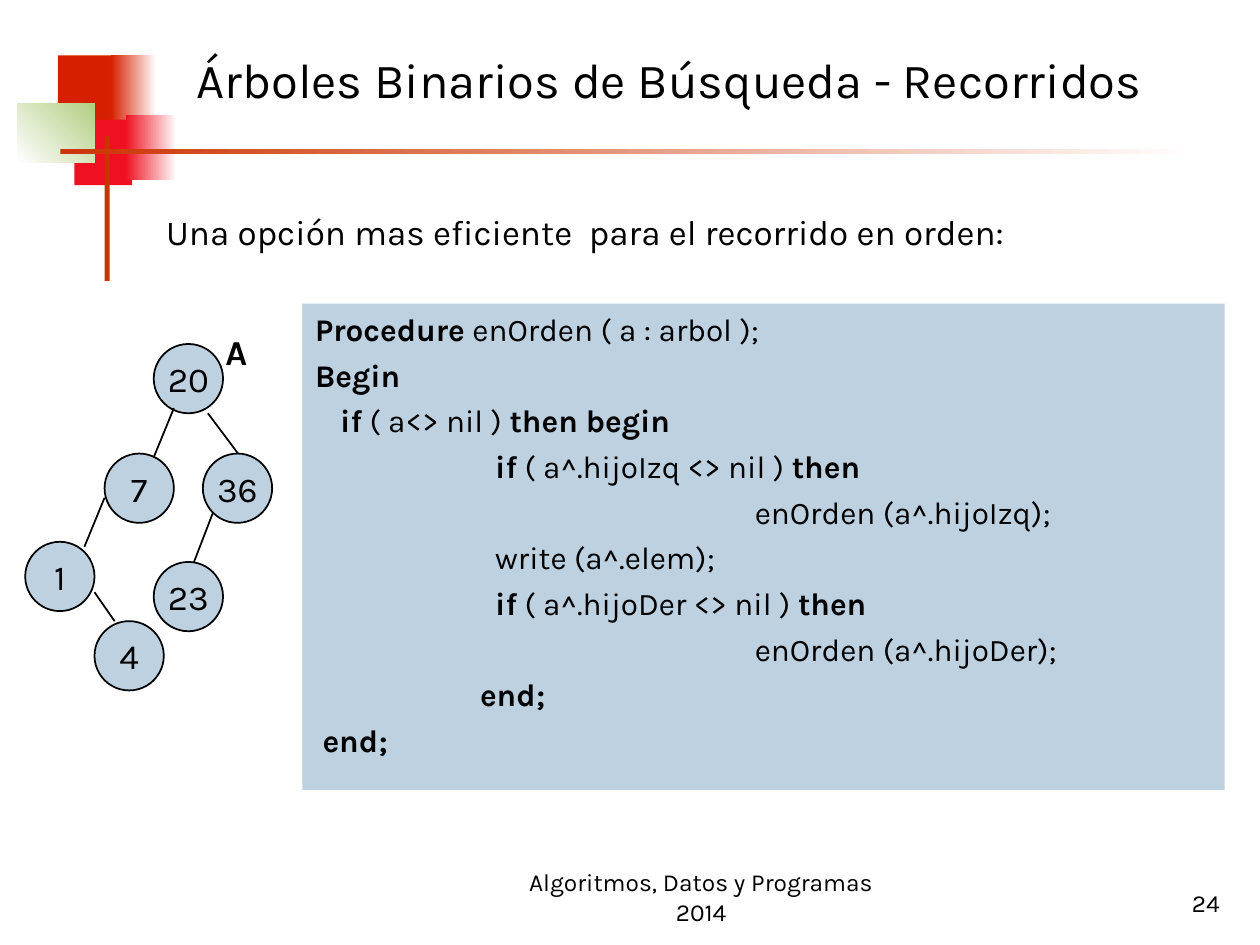
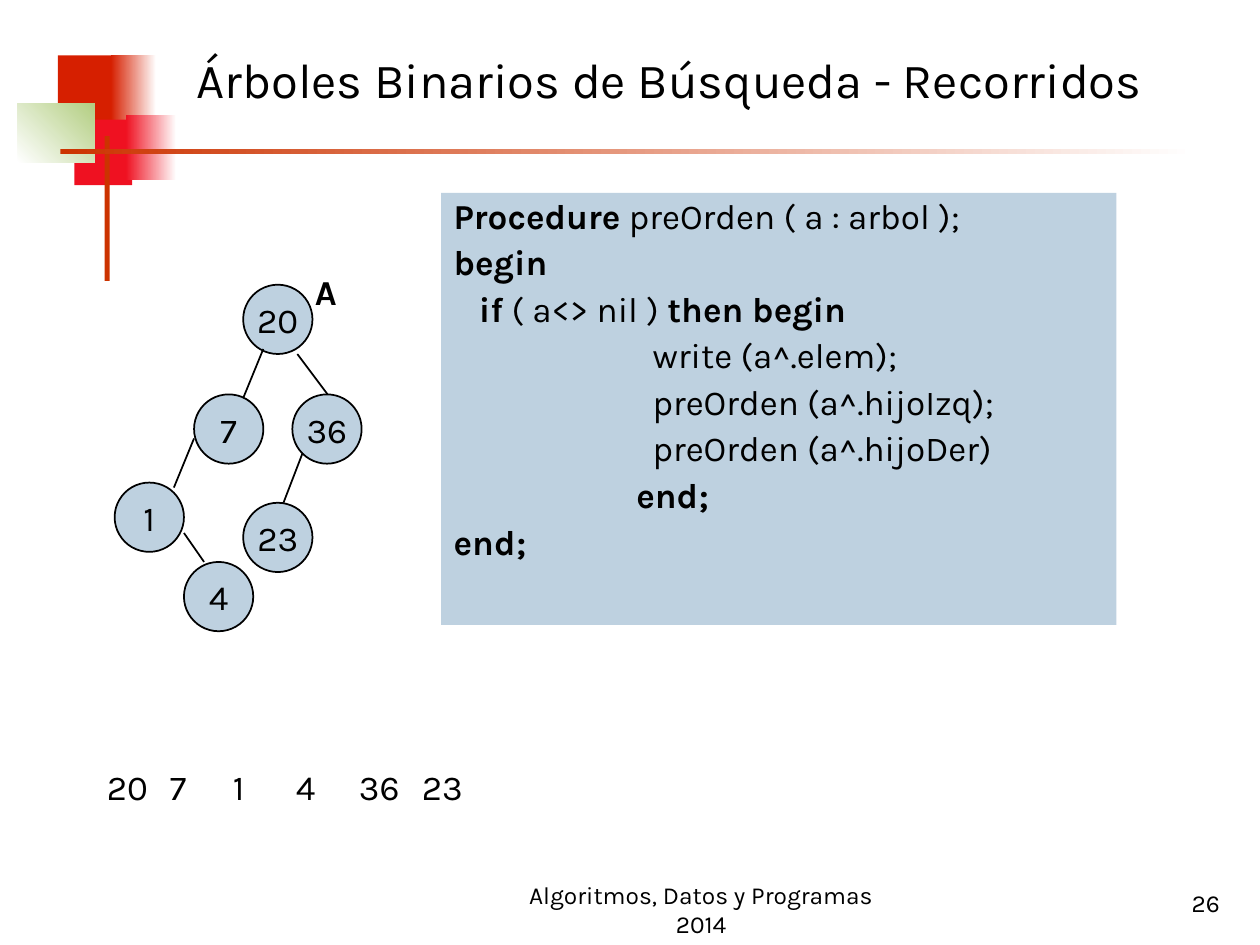
import pptx
import pptx.util
import pptx.dml.color
import pptx.enum.shapes
import pptx.enum.text
import pptx.oxml.ns
import lxml.etree

Inches = pptx.util.Inches
RGB = pptx.dml.color.RGBColor
Shape = pptx.enum.shapes.MSO_SHAPE
Align = pptx.enum.text.PP_ALIGN
Anchor = pptx.enum.text.MSO_ANCHOR

# Shared style
FONT = "Karla"
BLACK = RGB(0, 0, 0)
WHITE = RGB(255, 255, 255)
BLUE = RGB(0xBE, 0xD1, 0xE0)
BRICK = RGB(0xD6, 0x1F, 0x00)
RED = RGB(0xEF, 0x11, 0x21)
GREEN = RGB(0xB3, 0xCE, 0x82)
RUST = RGB(0xCC, 0x33, 0x00)
TITLE = "Árboles Binarios de Búsqueda - Recorridos"
FOOTER = "Algoritmos, Datos y Programas 2014"

# Master bands: place, first colour, last colour, angle
BANDS = [
    ((0.46, 0.44, 0.48, 0.52), BRICK, None, 0),
    ((0.88, 0.44, 0.36, 0.52), BRICK, WHITE, 0),
    ((0.59, 0.95, 0.46, 0.52), RED, None, 0),
    ((1, 0.91, 0.4, 0.52), RED, WHITE, 0),
    ((0.14, 0.82, 0.61, 0.47), WHITE, GREEN, 45),
    ((0.83, 1.08, 0.04, 1.15), RUST, None, 0),
    ((0.48, 1.18, 9, 0.04), RUST, WHITE, 0),
]

# Tree, measured from the top left of its root
NODE = 0.55
NODES = [("20", 0, 0), ("7", -0.39, 0.87), ("36", 0.39, 0.87),
         ("1", -1.02, 1.57), ("4", -0.47, 2.2), ("23", 0, 1.73)]
EDGES = [(0.16, 0.51, 0, 0.9), (0.43, 0.55, 0.67, 0.87),
         (-0.39, 1.22, -0.55, 1.61), (-0.47, 1.97, -0.31, 2.2),
         (0.47, 1.34, 0.32, 1.73)]

# Code lines: indent and text, with keywords between asterisks
IN_ORDER = [
    (0, "*Procedure* enOrden ( a : arbol );"),
    (0, "*Begin*"),
    (0.2, "*if* ( a<> nil ) *then begin*"),
    (1.43, "*if* ( a^.hijoIzq <> nil ) *then*"),
    (3.49, "enOrden (a^.hijoIzq);"),
    (1.43, "write (a^.elem);"),
    (1.43, "*if* ( a^.hijoDer <> nil ) *then*"),
    (3.49, "enOrden (a^.hijoDer);"),
    (1.31, "*end;*"),
    (0.06, "*end;*"),
]
PRE_ORDER = [
    (0, "*Procedure* preOrden ( a : arbol );"),
    (0, "*begin*"),
    (0.2, "*if* ( a<> nil ) *then begin*"),
    (1.58, "write (a^.elem);"),
    (1.58, "preOrden (a^.hijoIzq);"),
    (1.58, "preOrden (a^.hijoDer)"),
    (1.45, "*end;*"),
    (0, "*end;*"),
]


def put(item, values):
    for name, value in values.items():
        setattr(item, name, value)


def place(shape, box):
    sides = ("left", "top", "width", "height")
    put(shape, dict(zip(sides, map(Inches, box))))


def add_xml(parent, tag, **attrs):
    return lxml.etree.SubElement(parent, pptx.oxml.ns.qn(tag), attrs)


def write(shape, lines, size, align=Align.LEFT, anchor=Anchor.TOP, wrap=True,
          before=0, space=1.0):
    frame = shape.text_frame
    put(frame, {
        "auto_size": pptx.enum.text.MSO_AUTO_SIZE.NONE,
        "word_wrap": wrap, "vertical_anchor": anchor,
        "margin_left": Inches(0.1), "margin_right": Inches(0.1),
        "margin_top": Inches(0.05), "margin_bottom": Inches(0.05),
    })
    for i, (indent, text) in enumerate(lines):
        para = frame.add_paragraph() if i else frame.paragraphs[0]
        put(para, {"alignment": align, "line_spacing": space,
                   "space_before": pptx.util.Pt(before)})
        props = para._p.get_or_add_pPr()
        props.set("marL", str(Inches(indent)))
        props.set("indent", "0")
        add_xml(props, "a:buNone")
        for j, part in enumerate(text.split("*")):
            if part:
                run = para.add_run()
                run.text = part
                put(run.font, {"name": FONT, "size": pptx.util.Pt(size),
                               "bold": j % 2 == 1})
                run.font.color.rgb = BLACK


def label(shapes, box, text, size=20, **style):
    item = shapes.add_textbox(*map(Inches, box))
    write(item, [(0, text)], size, **style)
    return item


def form(shapes, kind, box, color):
    shape = shapes.add_shape(kind, *map(Inches, box))
    shape.shadow.inherit = False
    shape.fill.solid()
    shape.fill.fore_color.rgb = color
    shape.line.fill.background()
    return shape


def add_bands(deck, slide):
    """Draw the bands and move them to the master, which all slides share."""
    for i, (box, first, last, angle) in enumerate(BANDS):
        band = form(slide.shapes, Shape.RECTANGLE, box, first)
        if last is not None:
            band.fill.gradient()
            band.fill.gradient_angle = angle
            for stop, color in zip(band.fill.gradient_stops, (first, last)):
                stop.color.rgb = color
        band.element.nvSpPr.cNvPr.id = 20 + i
        deck.slide_master.shapes.element.append(band.element)


def add_tree(slide, x, y):
    shapes = slide.shapes.add_group_shape().shapes
    for text, dx, dy in NODES:
        node = form(shapes, Shape.OVAL, (x + dx, y + dy, NODE, NODE), BLUE)
        node.line.color.rgb = BLACK
        node.line.width = pptx.util.Pt(1)
        write(node, [(0, text)], 20, Align.CENTER, Anchor.MIDDLE, wrap=False)
    for x1, y1, x2, y2 in EDGES:
        ends = map(Inches, (x + x1, y + y1, x + x2, y + y2))
        edge = shapes.add_connector(
            pptx.enum.shapes.MSO_CONNECTOR.STRAIGHT, *ends)
        edge.line.color.rgb = BLACK
        edge.line.width = pptx.util.Pt(1)
        add_xml(edge.element.spPr, "a:effectLst")
    label(shapes, (x + 0.47, y - 0.16, 0.39, 0.44), "*A*")


def add_code(slide, box, lines, size, **style):
    body = slide.placeholders[1]
    place(body, box)
    body.fill.solid()
    body.fill.fore_color.rgb = BLUE
    write(body, lines, size, **style)


def add_visit(slide, box, keys, stops):
    """Write the visited keys in columns set by tab stops."""
    item = label(slide.shapes, box, "\t".join(keys))
    tabs = add_xml(item.text_frame.paragraphs[0]._p.pPr, "a:tabLst")
    for stop in stops:
        add_xml(tabs, "a:tab", pos=str(Inches(stop)), algn="l")


def add_page(deck, number, foot):
    slide = deck.slides.add_slide(deck.slide_layouts[1])
    place(slide.shapes.title, (1.46, 0.13, 8.11, 1))
    write(slide.shapes.title, [(0, TITLE)], 28, anchor=Anchor.MIDDLE)
    label(slide.shapes, (3.98, foot, 3.17, 0.5), FOOTER, 14,
          align=Align.CENTER, anchor=Anchor.BOTTOM)
    label(slide.shapes, (7.7, 6.83, 2.08, 0.5), number, 14,
          align=Align.RIGHT, anchor=Anchor.BOTTOM)
    return slide


def main():
    deck = pptx.Presentation()
    put(deck, {"slide_width": Inches(10), "slide_height": Inches(7.5)})

    # In-order walk
    slide = add_page(deck, "24", 6.9)
    add_bands(deck, slide)
    add_code(slide, (2.4, 2.41, 7.32, 3.86), IN_ORDER, 18, before=4.5)
    label(slide.shapes, (1.22, 1.62, 7.64, 0.44),
          "Una opción mas eficiente  para el recorrido en orden:")
    add_tree(slide, 1.22, 2.73)

    # Pre-order walk
    slide = add_page(deck, "26", 7)
    add_code(slide, (3.5, 1.53, 5.36, 3.43), PRE_ORDER, 20,
             before=5, space=0.9)
    add_visit(slide, (0.75, 6.03, 3.15, 0.44),
              ("20", "7", "1", "4", "36", "23"),
              (0.45, 0.71, 0.94, 1.23, 1.69))
    add_tree(slide, 1.93, 2.26)

    deck.save("out.pptx")


if __name__ == "__main__":
    main()
